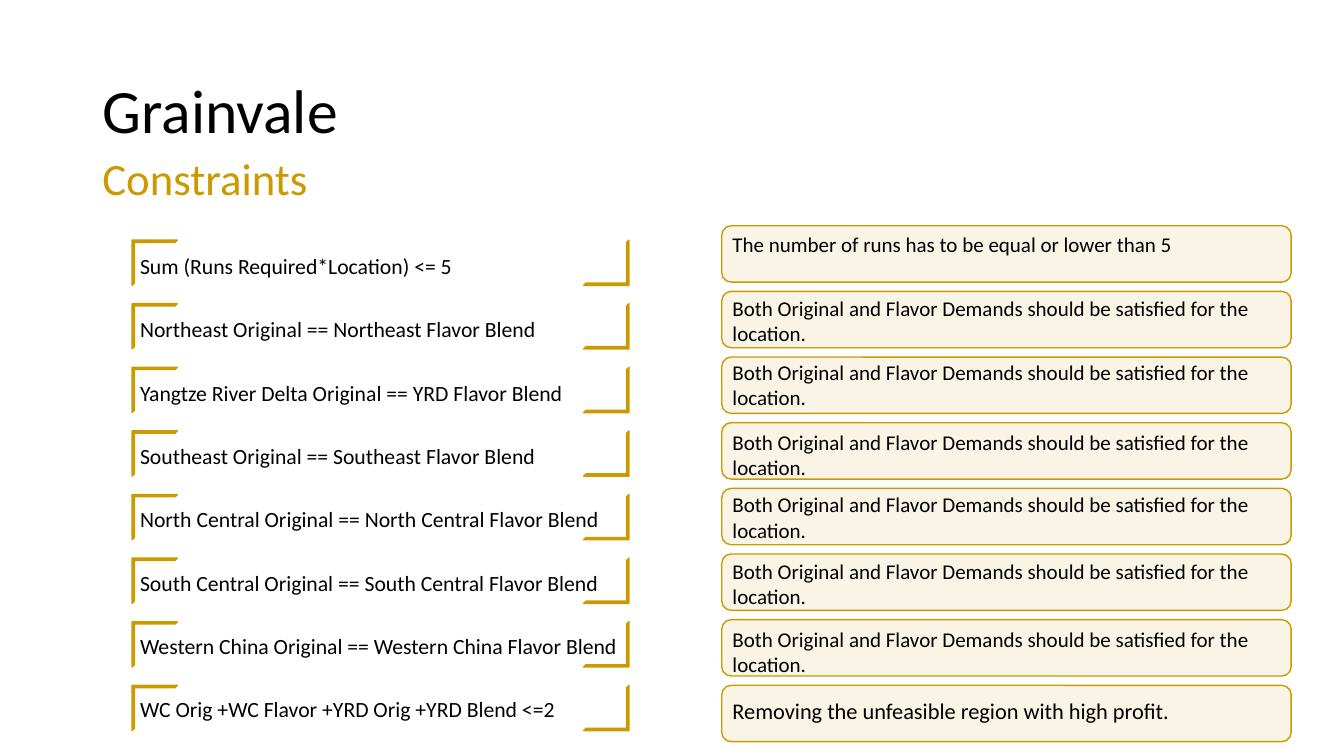
from lxml import etree
from pptx import Presentation
from pptx.dml.color import RGBColor
from pptx.enum.shapes import MSO_SHAPE
from pptx.enum.text import MSO_ANCHOR, PP_ALIGN
from pptx.oxml.ns import qn
from pptx.util import Cm, Pt

HALF = MSO_SHAPE.HALF_FRAME
ROUND = MSO_SHAPE.ROUNDED_RECTANGLE
MIDDLE = MSO_ANCHOR.MIDDLE
LEFT = PP_ALIGN.LEFT
GOLD = RGBColor(0xCC, 0x99, 0x00)
BLACK = RGBColor(0, 0, 0)
FONT = "Calibri"

TITLE = "Grainvale"
SUBTITLE = "Constraints"
BOTH = "Both Original and Flavor Demands should be satisfied for the location."
# rule, meaning, top of the meaning in cm, its size in points
ROWS = [
    ("Sum (Runs Required*Location) <= 5",
     "The number of runs has to be equal or lower than 5", 5.72, 15),
    ("Northeast Original == Northeast Flavor Blend", BOTH, 7.32, 15),
    ("Yangtze River Delta Original == YRD Flavor Blend", BOTH, 8.94, 15),
    ("Southeast Original == Southeast Flavor Blend", BOTH, 10.69, 15),
    ("North Central Original == North Central Flavor Blend", BOTH, 12.27, 15),
    ("South Central Original == South Central Flavor Blend", BOTH, 13.94, 15),
    ("Western China Original == Western China Flavor Blend", BOTH, 15.67, 15),
    ("WC Orig +WC Flavor +YRD Orig +YRD Blend <=2",
     "Removing the unfeasible region with high profit.", 17.45, 16),
]

# top of the first and last item in each column, in cm
FRAMES = (6.05, 17.27)
RULES = (6.25, 17.42)
CARDS = (5.69, 17.27)
CORNER = 1.14


def spread(ends, row):
    first, last = ends
    return first + (last - first) * row / (len(ROWS) - 1)


def place(shape, left, top, width, height):
    shape.left, shape.top = Cm(left), Cm(top)
    shape.width, shape.height = Cm(width), Cm(height)


def write(shape, text, size, color=BLACK):
    frame = shape.text_frame
    frame.word_wrap = True
    frame.text = text
    para = frame.paragraphs[0]
    para.alignment = LEFT
    font = para.runs[0].font
    font.name, font.size, font.color.rgb = FONT, Pt(size), color
    return frame


def head(shape, text, top, size, color):
    """Place and write one of the two heading lines."""
    place(shape, 2.33, top, 29.21, 3.68)
    frame = write(shape, text, size, color)
    frame.vertical_anchor = MIDDLE
    frame.paragraphs[0].line_spacing = 0.9


def label(shapes, text, left, top, width, height, size):
    box = shapes.add_textbox(Cm(left), Cm(top), Cm(width), Cm(height))
    write(box, text, size)


def gild(shape):
    """Give a shape its gold fill and line."""
    shape.shadow.inherit = False
    shape.fill.solid()
    shape.fill.fore_color.rgb = GOLD
    shape.line.color.rgb = GOLD
    shape.line.width = Pt(1)


def bracket(shapes, top):
    """Draw the two opposite corners around a rule."""
    pair = shapes.add_group_shape()
    for left, turn in ((3.33, 0), (14.71, 180)):
        corner = pair.shapes.add_shape(
            HALF, Cm(left), Cm(top), Cm(CORNER), Cm(CORNER))
        corner.adjustments[0] = corner.adjustments[1] = 0.05
        corner.rotation = turn
        gild(corner)


def card(shapes, top):
    shape = shapes.add_shape(ROUND, Cm(18.19), Cm(top), Cm(14.35), Cm(1.42))
    gild(shape)
    tint = shape.fill._xPr.find(qn("a:solidFill"))[0]
    etree.SubElement(tint, qn("a:alpha")).set("val", "10000")


def main():
    deck = Presentation()
    deck.slide_width, deck.slide_height = Cm(33.87), Cm(19.05)
    slide = deck.slides.add_slide(deck.slide_layouts[5])
    shapes = slide.shapes

    head(shapes.title, TITLE, 1.02, 44, BLACK)
    head(shapes.add_textbox(0, 0, 0, 0), SUBTITLE, 2.71, 32, GOLD)

    for row, (rule, meaning, top, size) in enumerate(ROWS):
        bracket(shapes, spread(FRAMES, row))
        card(shapes, spread(CARDS, row))
        label(shapes, rule, 3.28, spread(RULES, row), 12.7, 0.91, 15.5)
        label(shapes, meaning, 18.21, top, 14.3, 1.42, size)

    deck.save("out.pptx")


if __name__ == "__main__":
    main()
